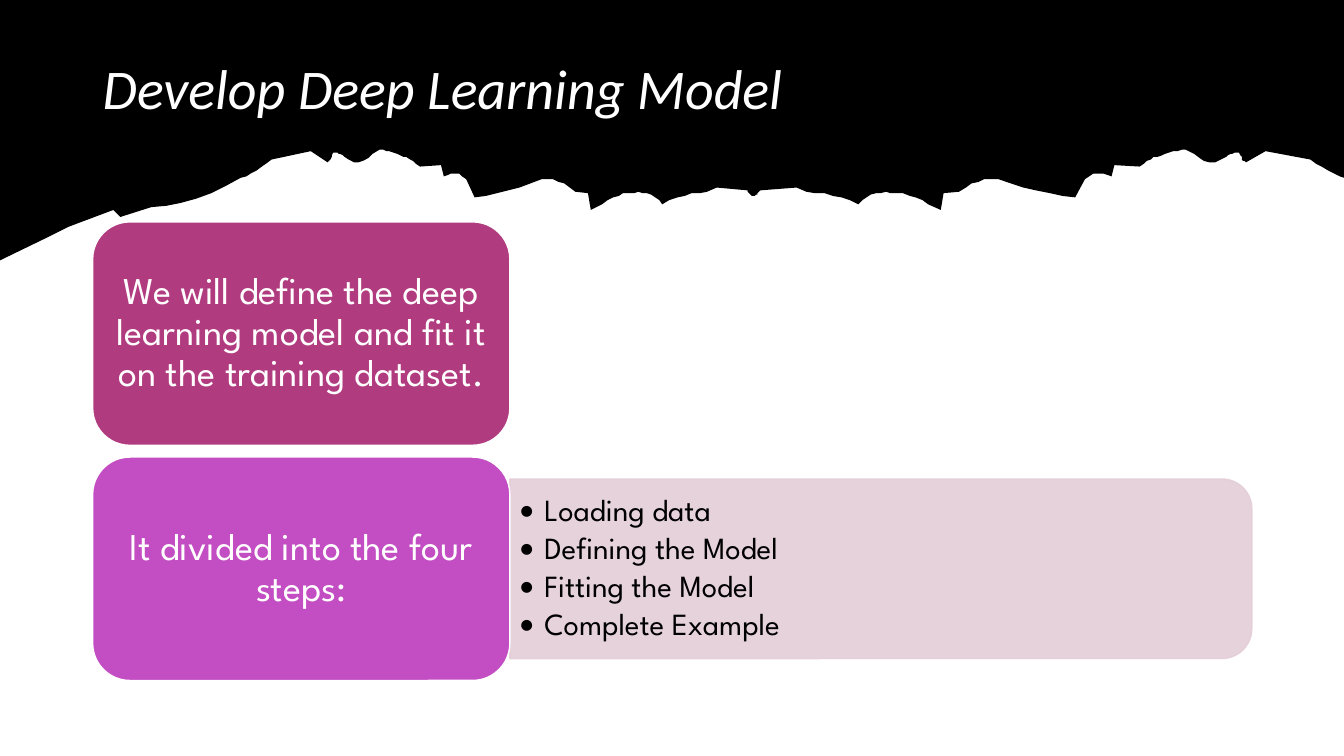
from pptx import Presentation
from pptx.dml.color import RGBColor
from pptx.enum.shapes import MSO_SHAPE
from pptx.enum.text import MSO_ANCHOR, PP_ALIGN
from pptx.oxml import parse_xml
from pptx.oxml.ns import nsdecls, qn
from pptx.util import Pt

# Content
TITLE = "Develop Deep Learning Model"
CARDS = [
    ("We will define the deep learning model and fit it on the training dataset.", "B13B7F"),
    ("It divided into the four steps:", "C34DC2"),
]
STEPS = ["Loading data", "Defining the Model", "Fitting the Model", "Complete Example"]

# Torn edge of the header: each arc is (end x, end y, upward bulge at its middle)
SLOPE = [(33, 170, 0), (81, 150, 1), (86, 155, 0), (108, 148, 0), (172, 127.4, -4)]
HALF = {
    "peaks": [(194, 114, -1), (222, 108, 0), (234, 116, 0), (238, 109, -1), (246, 112, 1),
              (266, 109.5, -5), (271, 107.3, 0), (286, 111, 1), (299.5, 119, 1.5)],
    "ledge": [(315, 117.5, 0), (317, 126, 0), (333, 127.5, 3), (339, 141, 0)],
    "mound": [(387, 128, -1.5), (411, 137, 3), (420.5, 137.5, 0), (422, 150, 0)],
    "bumps": [(430, 145.5, 0), (453, 137.5, 2), (471, 143, 2), (473, 145.5, 0)],
    "centre": [(505, 137, 1.5), (511.5, 133.5, 0), (533.5, 136, 0), (538, 139.7, -1)],
}
START = (0, 186.5)
STRETCH = 1.157  # the right half is the left one mirrored and widened
SMOOTH = 6       # straight pieces per curved arc


class Theme:
    head, body = "Calibri", "League Spartan"
    dark, light, panel = "000000", "FFFFFF", "E4CED8"
    title, card, step = 40, 27, 22


# Layout, in points
WIDE, HIGH = 960, 540
LEFT, TOP = 66.2, 158.5
CARD_W, CARD_H, GAP = 298, 159.6, 8.4
PANEL_W, PANEL_H = 530, 128.3
INDENT = 18


def trace(start, arcs):
    """Points along a chain of arcs, without the start point."""
    points = []
    x, y = start
    for end_x, end_y, bulge in arcs:
        count = SMOOTH if bulge else 1
        for i in range(1, count + 1):
            t = i / count
            rise = 4 * bulge * t * (1 - t)
            points.append((x + (end_x - x) * t, y + (end_y - y) * t - rise))
        x, y = end_x, end_y
    return points


def torn_edge():
    """The whole lower edge, left to right."""
    slope = [START] + trace(START, SLOPE)
    half = trace(slope[-1], sum(HALF.values(), []))
    mid = half[-1][0]
    mirror = [(mid + (mid - x) * STRETCH, y) for x, y in reversed(half[:-1])]
    return slope + half + mirror + [(WIDE, slope[-1][1])]


def paint(shape, fill, line=None, alpha=None):
    shape.shadow.inherit = False
    shape.fill.solid()
    shape.fill.fore_color.rgb = RGBColor.from_string(fill)
    if line:
        shape.line.color.rgb = RGBColor.from_string(line)
        shape.line.width = Pt(1)
    else:
        shape.line.fill.background()
    if alpha:
        for clr in shape._element.spPr.iter(qn("a:srgbClr")):
            clr.append(parse_xml(f'<a:alpha {nsdecls("a")} val="{alpha * 1000}"/>'))


def set_frame(frame, side, edge):
    frame.word_wrap = True
    frame.vertical_anchor = MSO_ANCHOR.MIDDLE
    frame.margin_left = frame.margin_right = Pt(side)
    frame.margin_top = frame.margin_bottom = Pt(edge)


def write(para, text, size, color, face, align=PP_ALIGN.LEFT):
    para.alignment = align
    para.line_spacing = 0.9
    run = para.add_run()
    run.text = text
    run.font.size, run.font.name = Pt(size), face
    run.font.color.rgb = RGBColor.from_string(color)
    return run


def add_bullet(para):
    props = para._p.get_or_add_pPr()
    props.set("marL", str(Pt(INDENT)))
    props.set("indent", str(-Pt(INDENT)))
    props.append(parse_xml(f'<a:buFont {nsdecls("a")} typeface="{Theme.head}"/>'))
    props.append(parse_xml(f'<a:buChar {nsdecls("a")} char="•"/>'))


def add_header(slide):
    edge = torn_edge()
    pen = slide.shapes.build_freeform(*edge[0], scale=Pt(1))
    pen.add_line_segments(edge[1:] + [(WIDE, 0), (0, 0)], close=True)
    paint(pen.convert_to_shape(), Theme.dark)

    # Title goes above the band
    title = slide.shapes.title
    slide.shapes._spTree.append(title._element)
    title.left, title.top, title.width, title.height = Pt(LEFT), Pt(28.8), Pt(828), Pt(73.4)
    set_frame(title.text_frame, 7.2, 3.6)
    run = write(title.text_frame.paragraphs[0], TITLE, Theme.title, Theme.light, Theme.head)
    run.font.italic = True


def add_card(slide, row, text, fill):
    top = TOP + row * (CARD_H + GAP)
    card = slide.shapes.add_shape(
        MSO_SHAPE.ROUNDED_RECTANGLE, Pt(LEFT), Pt(top), Pt(CARD_W), Pt(CARD_H))
    paint(card, fill, Theme.light)
    set_frame(card.text_frame, 8, 4)
    write(card.text_frame.paragraphs[0], text, Theme.card, Theme.light, Theme.body,
          PP_ALIGN.CENTER)


def add_steps(slide):
    left = LEFT + CARD_W
    mid = TOP + CARD_H + GAP + CARD_H / 2

    # Panel stands upright, then turns so its round corners face right
    panel = slide.shapes.add_shape(
        MSO_SHAPE.ROUND_2_SAME_RECTANGLE, Pt(left + (PANEL_W - PANEL_H) / 2),
        Pt(mid - PANEL_W / 2), Pt(PANEL_H), Pt(PANEL_W))
    panel.rotation = 90
    paint(panel, Theme.panel, Theme.panel, 90)

    # Bulleted steps
    box = slide.shapes.add_textbox(
        Pt(left), Pt(mid - PANEL_H / 2), Pt(PANEL_W), Pt(PANEL_H))
    frame = box.text_frame
    set_frame(frame, 6.6, 3.4)
    for i, step in enumerate(STEPS):
        para = frame.add_paragraph() if i else frame.paragraphs[0]
        write(para, step, Theme.step, Theme.dark, Theme.body)
        para.level = 1
        para.space_after = Pt(3.3)
        add_bullet(para)


def main():
    deck = Presentation()
    deck.slide_width, deck.slide_height = Pt(WIDE), Pt(HIGH)
    slide = deck.slides.add_slide(deck.slide_layouts[5])
    add_header(slide)
    add_steps(slide)
    for row, (text, fill) in enumerate(CARDS):
        add_card(slide, row, text, fill)
    deck.save("out.pptx")


if __name__ == "__main__":
    main()
